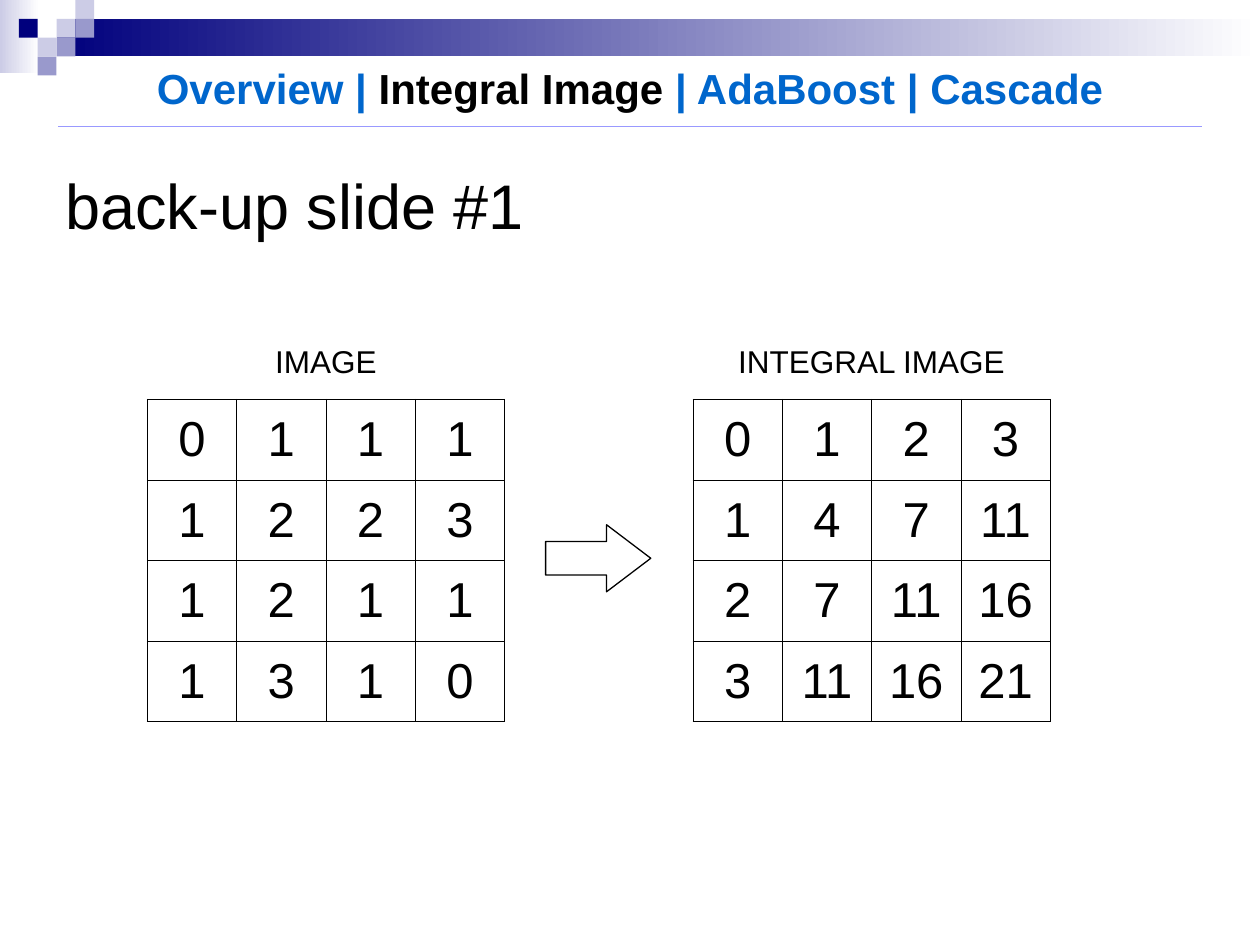
from lxml import etree
from pptx import Presentation, util as u
from pptx.dml.color import RGBColor
from pptx.enum import shapes, text
from pptx.oxml.ns import qn

INK = {"black": "000000", "white": "FFFFFF", "navy": "00007D", "pale": "CCCCE6",
       "mid": "9999CC", "rule": "9999FF", "link": "0066CC"}
TITLE = "back-up slide #1"
TRAIL = [("Overview | ", "link"), ("Integral Image ", "black"),
         ("| AdaBoost | Cascade", "link")]
GRIDS = [
    ("IMAGE", 2.97, [(0, 1, 1, 1), (1, 2, 2, 3), (1, 2, 1, 1), (1, 3, 1, 0)]),
    ("INTEGRAL IMAGE", 13.97,
     [(0, 1, 2, 3), (1, 4, 7, 11), (2, 7, 11, 16), (3, 11, 16, 21)]),
]
BARS = [((0, 0, 0.79, 1.47), "pale"), ((1.14, 0.38, 24.26, 0.76), "navy")]
TILES = [(3, 1, "pale"), (4, 0, "pale"), (4, 1, "mid"), (2, 2, "pale"),
         (1, 1, "navy"), (3, 2, "mid"), (2, 3, "mid")]
TILE = 0.38
WIDE, HIGH = 1.8, 1.625
TOP, CAP = 8.05, 6.78


def color(name):
    return RGBColor.from_string(INK[name])


def cm(*nums):
    return [u.Cm(n) for n in nums]


def style(run, size, name="black", bold=False):
    font = run.font
    font.name, font.size, font.bold = "Arial", u.Pt(size), bold
    font.color.rgb = color(name)


def label(slide, box, runs, size, align, bold=False, inset=True):
    frame = slide.shapes.add_textbox(*cm(*box)).text_frame
    frame.word_wrap = True
    if not inset:
        frame.margin_left = frame.margin_right = 0
        frame.margin_top = frame.margin_bottom = 0
    para = frame.paragraphs[0]
    para.alignment = align
    for words, name in runs:
        run = para.add_run()
        run.text = words
        style(run, size, name, bold)
    return frame


def block(slide, box, kind=shapes.MSO_SHAPE.RECTANGLE):
    shape = slide.shapes.add_shape(kind, *cm(*box))
    shape.shadow.inherit = False
    shape.line.fill.background()
    return shape


def border(cell):
    props = cell._tc.get_or_add_tcPr()
    for side in ("lnL", "lnR", "lnT", "lnB"):
        line = etree.SubElement(props, qn("a:" + side), w=str(u.Pt(0.45)))
        fill = etree.SubElement(line, qn("a:solidFill"))
        etree.SubElement(fill, qn("a:srgbClr"), val=INK["black"])


def grid(slide, left, rows):
    count = len(rows[0])
    box = cm(left, TOP, WIDE * count, HIGH * len(rows))
    table = slide.shapes.add_table(len(rows), count, *box).table
    table.first_row = table.horz_banding = False
    for col in table.columns:
        col.width = u.Cm(WIDE)
    for row, nums in zip(table.rows, rows):
        row.height = u.Cm(HIGH)
        for cell, num in zip(row.cells, nums):
            border(cell)
            cell.fill.background()
            cell.vertical_anchor = text.MSO_ANCHOR.MIDDLE
            para = cell.text_frame.paragraphs[0]
            para.text = str(num)
            para.alignment = text.PP_ALIGN.CENTER
            style(para.runs[0], 28)


def header(slide):
    for box, name in BARS:
        fill = block(slide, box).fill
        fill.gradient()
        fill.gradient_angle = 0
        for stop, hue in zip(fill.gradient_stops, (name, "white")):
            stop.color.rgb = color(hue)
    for col, row, name in TILES:
        fill = block(slide, (col * TILE, row * TILE, TILE, TILE)).fill
        fill.solid()
        fill.fore_color.rgb = color(name)
    rule = slide.shapes.add_connector(
        shapes.MSO_CONNECTOR.STRAIGHT, *cm(1.17, 2.54, 24.23, 2.54))
    rule.line.color.rgb = color("rule")
    rule.line.width = u.Pt(0.25)
    etree.SubElement(rule._element.spPr, qn("a:effectLst"))


def arrow(slide):
    shape = block(slide, (11, 10.58, 2.12, 1.35), shapes.MSO_SHAPE.RIGHT_ARROW)
    shape.adjustments[0], shape.adjustments[1] = 0.5, 0.66
    shape.fill.solid()
    shape.fill.fore_color.rgb = color("white")
    shape.line.color.rgb = color("black")
    shape.line.width = u.Pt(0.75)


def main():
    deck = Presentation()
    deck.slide_width, deck.slide_height = cm(25.4, 19.05)
    slide = deck.slides.add_slide(deck.slide_layouts[6])
    mid = text.PP_ALIGN.CENTER
    header(slide)
    title = label(slide, (1.07, 3.38, 22.86, 1.47), [(TITLE, "black")], 36,
                  text.PP_ALIGN.LEFT)
    title.vertical_anchor = text.MSO_ANCHOR.MIDDLE
    label(slide, (0, 1.27, 25.4, 1.19), TRAIL, 24, mid, bold=True, inset=False)
    for name, left, rows in GRIDS:
        grid(slide, left, rows)
        label(slide, (left, CAP, WIDE * len(rows[0]), 1.02), [(name, "black")], 18, mid)
    arrow(slide)
    deck.save("out.pptx")


if __name__ == "__main__":
    main()
